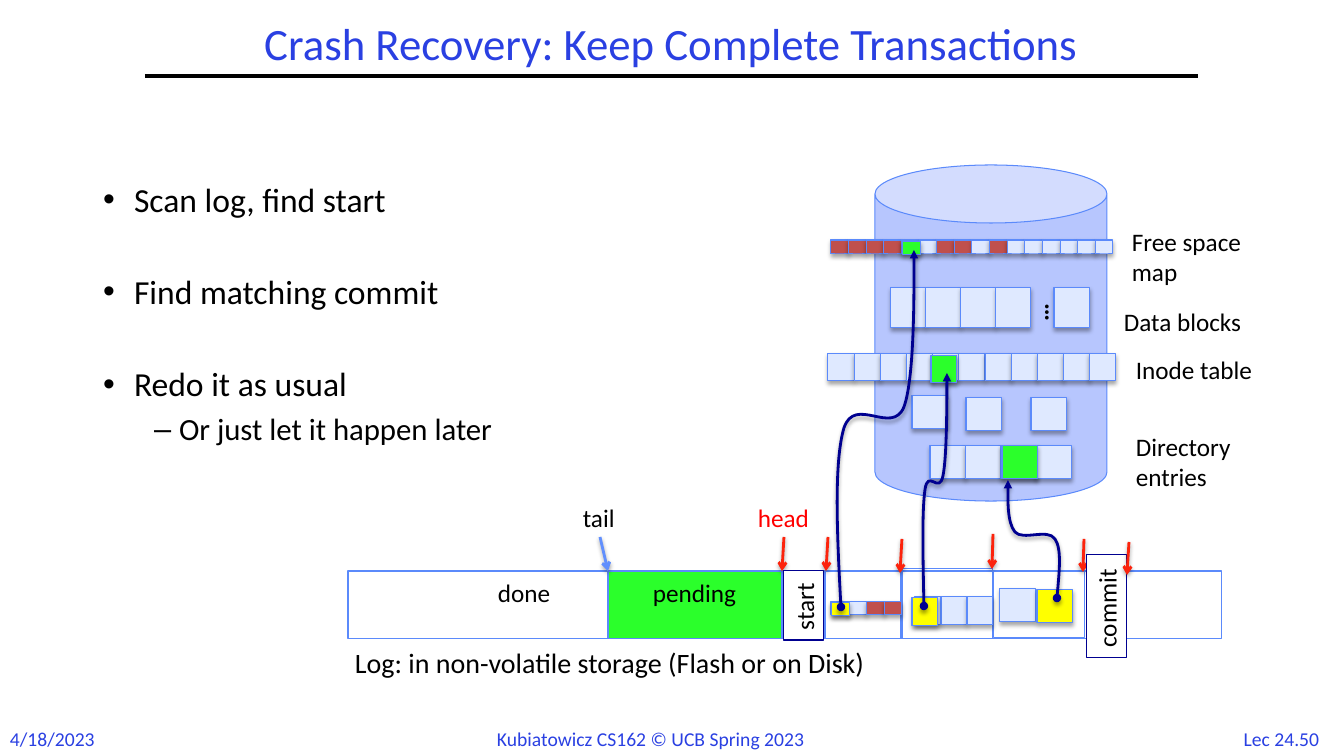
"""Build the crash recovery slide: a disk, its transaction log and the redo arrows."""
from lxml import etree
from pptx import Presentation
from pptx.dml.color import RGBColor
from pptx.enum.shapes import MSO_CONNECTOR, MSO_SHAPE
from pptx.enum.text import MSO_ANCHOR, MSO_AUTO_SIZE, PP_ALIGN
from pptx.oxml.ns import qn
from pptx.util import Emu, Pt

RECTANGLE, CAN = MSO_SHAPE.RECTANGLE, MSO_SHAPE.CAN
STRAIGHT = MSO_CONNECTOR.STRAIGHT
LEFT, CENTER = PP_ALIGN.LEFT, PP_ALIGN.CENTER
TOP, MIDDLE = MSO_ANCHOR.TOP, MSO_ANCHOR.MIDDLE
NO_AUTOFIT = MSO_AUTO_SIZE.NONE
PIXEL = 914400 / 100.8
FONT = "Calibri"
BLACK, WHITE, BLUE, NAVY = "000000", "FFFFFF", "2A40E2", "000090"
EDGE, RED, TAIL_BLUE, GREEN = "5B8AFB", "FC230C", "618FFD", "2BFF2B"
CELL_FILLS = {".": "DFE9FF", "r": "C0504D", "g": GREEN, "y": "FFFF00"}

TITLE = ("Crash Recovery: Keep Complete Transactions", (145, 17, 1052, 58))
BODY_BOX = (93, 178, 755, 336)
BULLETS = [
    ("Scan log, find start", 0, 24, 0),
    ("Find matching commit", 0, 24, 40),
    ("Redo it as usual", 0, 24, 40),
    ("Or just let it happen later", 1, 22, 7),
]
INDENTS = [(31, -31), (76, -25)]
TITLE_RULE = ((145, 76), (1198, 76))
FOOTERS = [
    ("4/18/2023", (0, 722, 108, 34), LEFT),
    ("Kubiatowicz CS162 © UCB Spring 2023", (487, 722, 371, 34), LEFT),
    ("Lec 24.50", (1227, 722, 109, 34), CENTER),
]
LABELS = [
    ("Free space\nmap", (1122, 221, 142, 70), 18, BLACK),
    ("Data blocks", (1114, 301, 153, 40), 18, BLACK),
    ("Inode table", (1126, 349, 146, 40), 18, BLACK),
    ("Directory\nentries", (1126, 426, 122, 71), 18, BLACK),
    ("Log: in non-volatile storage (Flash or on Disk)", (345, 641, 590, 44), 20, BLACK),
    ("tail", (573, 497, 53, 40), 18, BLACK),
    ("head", (748, 497, 76, 40), 18, "FF0000"),
    ("pending", (643, 572, 111, 40), 18, BLACK),
    ("done", (488, 572, 76, 40), 18, BLACK),
]
ELLIPSIS = ("…", (1016, 289, 45, 40))
DISK = (875, 165, 232, 336)
DISK_STRIPS = [
    (891, 288, 1031, 40, "...."),
    (1054, 288, 1090, 40, "."),
    (831, 240, 1113, 14, "rrrr..rr.r......"),
    (828, 354, 1116, 27, "..........."),
    (930, 446, 1072, 33, "...."),
    (912, 396, 948, 33, "."),
    (966, 398, 1002, 33, "."),
    (1031, 398, 1067, 33, "."),
    (903, 242, 921, 13, "g"),
    (931, 356, 957, 27, "g"),
    (1002, 446, 1038, 33, "g"),
]
LOG_STRIPS = [
    (831, 602, 902, 13, "..rr"),
    (832, 603, 850, 13, "y"),
    (915, 597, 993, 28, "..."),
    (912, 598, 938, 28, "y"),
    (1000, 589, 1036, 33, "."),
    (1037, 590, 1073, 33, "y"),
]
LOG_BOXES = [
    ((348, 571, 874, 68), None),
    ((608, 572, 174, 67), GREEN),
    ((825, 572, 76, 67), None),
    ((902, 569, 91, 70), None),
    ((994, 571, 91, 67), None),
]
POINTERS = [
    ((600, 537), (608, 571), TAIL_BLUE),
    ((784, 537), (782, 571), RED),
    ((902, 539), (900, 573), RED),
    ((993, 534), (992, 569), RED),
    ((1084, 539), (1083, 572), RED),
]
MARKERS = [
    ("start", (769, 585, 70, 40), (828, 537), (826, 571)),
    ("commit", (1055, 586, 103, 40), (1129, 542), (1127, 575)),
]
REDO_CURVES = [
    [(841, 607), (837, 534), (834, 462), (844, 428), (855, 395), (892, 436),
     (904, 407), (915, 377), (914, 250), (914, 250)],
    [(924, 606), (923, 558), (922, 511), (925, 490), (928, 468), (939, 495),
     (943, 476), (947, 457), (947, 373), (947, 373)],
    [(1057, 598), (1059, 574), (1062, 549), (1055, 539), (1048, 528), (1023, 541),
     (1015, 532), (1007, 522), (1008, 480), (1008, 480)],
]


def emu(*pixels):
    return [Emu(round(value * PIXEL)) for value in pixels]


def color(hex_value):
    return RGBColor.from_string(hex_value)


def apply(target, formats):
    for name, value in formats.items():
        setattr(target, name, value)


def style_text(frame, lines, size, hex_value, align=LEFT, bold=False, **formats):
    apply(frame, {"word_wrap": False, "vertical_anchor": TOP, "auto_size": NO_AUTOFIT} | formats)
    frame.text = lines
    for paragraph in frame.paragraphs:
        paragraph.alignment = align
        apply(paragraph.font, {"name": FONT, "size": Pt(size), "bold": bold})
        paragraph.font.color.rgb = color(hex_value)


def add_text(lines, box, size, hex_value, align=LEFT, bold=False):
    shape = slide.shapes.add_textbox(*emu(*box))
    style_text(shape.text_frame, lines, size, hex_value, align, bold)
    return shape


def set_line(shape, hex_value, width, head=None, tail=None, shadow=False):
    shape.line.color.rgb = color(hex_value)
    shape.line.width = Pt(width)
    properties = shape._element.spPr
    for tag, end in (("a:headEnd", head), ("a:tailEnd", tail)):
        if end:
            etree.SubElement(properties.find(qn("a:ln")), qn(tag), type=end)
    effects = etree.SubElement(properties, qn("a:effectLst"))
    if shadow:
        outer = etree.SubElement(effects, qn("a:outerShdw"), blurRad=str(Pt(3.1)),
                                 dist=str(Pt(1.8)), dir="5400000", rotWithShape="0")
        black = etree.SubElement(outer, qn("a:srgbClr"), val=BLACK)
        etree.SubElement(black, qn("a:alpha"), val="35000")


def add_box(box, fill, edge=EDGE, kind=RECTANGLE, shadow=False):
    shape = slide.shapes.add_shape(kind, *emu(*box))
    if fill:
        shape.fill.solid()
        shape.fill.fore_color.rgb = color(fill)
    else:
        shape.fill.background()
    set_line(shape, edge, 0.75, shadow=shadow)
    return shape


def add_strip(left, top, right, height, cells):
    width = (right - left) / len(cells)
    for index, cell in enumerate(cells):
        add_box((left + index * width, top, width, height), CELL_FILLS[cell], shadow=True)


def add_line(start, end, hex_value, width, **ends):
    connector = slide.shapes.add_connector(STRAIGHT, *emu(*start, *end))
    set_line(connector, hex_value, width, **ends)


def add_curve(points):
    builder = slide.shapes.build_freeform(*points[0], scale=PIXEL)
    builder.add_line_segments(points[1:], close=False)
    shape = builder.convert_to_shape()
    segments = list(shape._element.iter(qn("a:lnTo")))
    outline = segments[0].getparent()
    for first in range(0, len(segments), 3):
        bezier = etree.SubElement(outline, qn("a:cubicBezTo"))
        for segment in segments[first:first + 3]:
            bezier.append(segment[0])
            outline.remove(segment)
    shape.fill.background()
    set_line(shape, NAVY, 2, head="oval", tail="triangle", shadow=True)


def place(placeholder, box):
    apply(placeholder, dict(zip(("left", "top", "width", "height"), emu(*box))))


presentation = Presentation()
presentation.slide_width, presentation.slide_height = emu(1344, 756)
slide = presentation.slides.add_slide(presentation.slide_layouts[1])

title, body = slide.placeholders
place(title, TITLE[1])
style_text(title.text_frame, TITLE[0], 32, BLUE, CENTER, word_wrap=True, vertical_anchor=MIDDLE)
title.text_frame.paragraphs[0].line_spacing = 0.9
place(body, BODY_BOX)
style_text(body.text_frame, "\n".join(row[0] for row in BULLETS), 24, BLACK, word_wrap=True)
for paragraph, (_, level, size, gap) in zip(body.text_frame.paragraphs, BULLETS):
    apply(paragraph, {"level": level, "line_spacing": 0.9, "space_before": Pt(gap)})
    paragraph.font.size = Pt(size)
    for name, value in zip(("marL", "indent"), emu(*INDENTS[level])):
        paragraph._p.get_or_add_pPr().set(name, str(value))

add_line(*TITLE_RULE, BLACK, 3)
for words, box, align in FOOTERS:
    add_text(words, box, 14, BLUE, align)
add_box(DISK, "B7C6FE", kind=CAN)
for strip in DISK_STRIPS:
    add_strip(*strip)
add_text(*ELLIPSIS, 18, BLACK, bold=True).rotation = 270
for box, fill in LOG_BOXES:
    add_box(box, fill)
for strip in LOG_STRIPS:
    add_strip(*strip)
for label in LABELS:
    add_text(*label)
for start, end, hex_value in POINTERS:
    add_line(start, end, hex_value, 2, tail="arrow", shadow=True)
for word, box, start, end in MARKERS:
    marker = add_box(box, WHITE, NAVY)
    marker.rotation = 270
    style_text(marker.text_frame, word, 18, BLACK)
    add_line(start, end, RED, 2, tail="arrow", shadow=True)
for points in REDO_CURVES:
    add_curve(points)

presentation.save("out.pptx")
